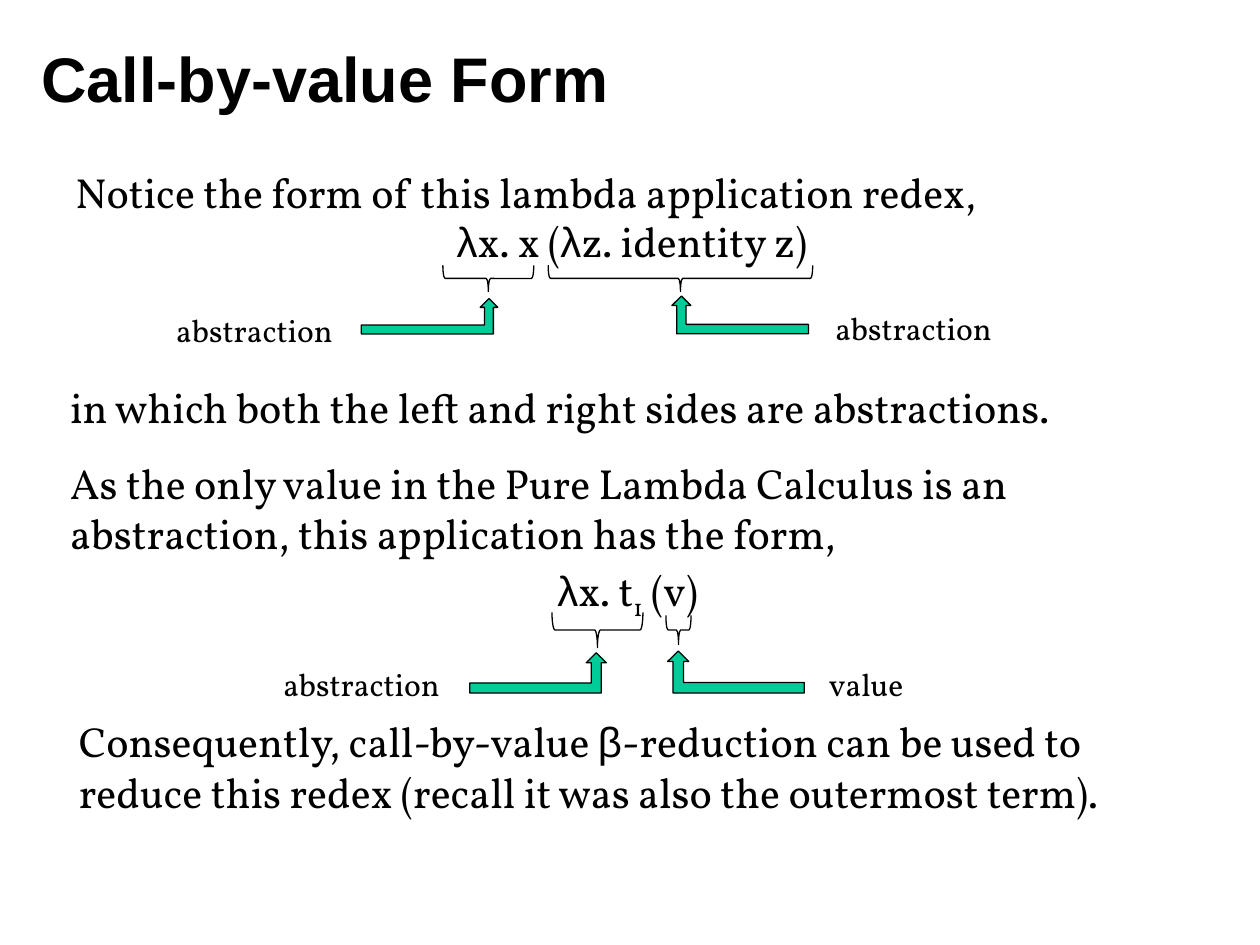
from pptx import Presentation
from pptx.dml.color import RGBColor
from pptx.enum.shapes import MSO_SHAPE
from pptx.enum.text import MSO_ANCHOR, PP_ALIGN
from pptx.oxml.ns import qn
from pptx.util import Pt

COLORS = {"ink": "000000", "arrow": "00CC99"}
SERIF, SANS = "Vollkorn", "Arial"
GREEK = "λβ"
BODY_SIZE, LABEL_SIZE = 24, 18
LABEL_HEIGHT = 28.8
ARROW_WIDTH = 78


def color(name):
    return RGBColor.from_string(COLORS[name])


def add_span(para, text, size, font, bold=False, subscript=False):
    span = para.add_run()
    span.text = text
    span.font.size = Pt(size)
    span.font.name = font
    span.font.bold = bold
    span.font.color.rgb = color("ink")
    if subscript:
        span.font._element.set("baseline", "-25000")


def add_text(shapes, place, paragraphs, size=BODY_SIZE, wrap=True,
             align=PP_ALIGN.LEFT, gap=0):
    """Each paragraph is a list of spans; a span starting with "_" is a subscript."""
    box = shapes.add_textbox(*map(Pt, place))
    frame = box.text_frame
    frame.word_wrap = wrap
    for index, spans in enumerate(paragraphs):
        para = frame.add_paragraph() if index else frame.paragraphs[0]
        para.alignment = align
        if index:
            para.space_before = Pt(gap)
        for text in spans:
            font = SANS if text in GREEK else SERIF
            add_span(para, text.lstrip("_"), size, font, subscript=text.startswith("_"))


def add_outlined(shapes, kind, left, top, width, height):
    shape = shapes.add_shape(kind, Pt(left), Pt(top), Pt(width), Pt(height))
    shape.shadow.inherit = False
    shape.line.color.rgb = color("ink")
    shape.line.width = Pt(0.75)
    return shape


def add_brace(shapes, left, top, span, depth):
    """Lay a right brace on its side so that it points down from the expression."""
    shift = (span - depth) / 2
    brace = add_outlined(shapes, MSO_SHAPE.RIGHT_BRACE,
                         left + shift, top - shift, depth, span)
    brace.rotation = 90
    brace.fill.background()


def add_arrow(shapes, left, top, height, mirrored):
    arrow = add_outlined(shapes, MSO_SHAPE.BENT_UP_ARROW, left, top, ARROW_WIDTH, height)
    arrow.fill.solid()
    arrow.fill.fore_color.rgb = color("arrow")
    if mirrored:
        arrow._element.spPr.find(qn("a:xfrm")).set("flipH", "1")


def add_diagram(page, braces, arrows, labels, expression, expression_place):
    """Group an expression with its braces and the arrows that label both sides."""
    shapes = page.shapes.add_group_shape().shapes
    for brace in braces:
        add_brace(shapes, *brace)
    for arrow, mirrored in zip(arrows, (False, True)):
        add_arrow(shapes, *arrow, mirrored)
    for text, left, top, width in labels:
        add_text(shapes, (left, top, width, LABEL_HEIGHT), [[text]], LABEL_SIZE, wrap=False)
    add_text(shapes, expression_place, [expression], wrap=False, align=PP_ALIGN.CENTER)


def set_title(page, text):
    title = page.shapes.title
    title.left, title.top, title.width, title.height = map(Pt, (16.5, 10.8, 578, 67))
    title.text_frame.vertical_anchor = MSO_ANCHOR.MIDDLE
    para = title.text_frame.paragraphs[0]
    para.alignment = PP_ALIGN.LEFT
    add_span(para, text, 36, SANS, bold=True)


def main():
    deck = Presentation()
    deck.slide_width, deck.slide_height = Pt(720), Pt(540)
    page = deck.slides.add_slide(deck.slide_layouts[5])
    set_title(page, "Call-by-value Form")

    add_text(page.shapes, (36, 91.5, 648, 67),
             [["Notice the form of this lambda application redex,"]])
    add_text(page.shapes, (33, 214.5, 640, 108), [
        ["in which both the left and right sides are abstractions."],
        ["As the only value in the Pure Lambda Calculus is an "
         "abstraction, this application has the form,"],
    ], gap=14.5)
    add_text(page.shapes, (38, 405.5, 637, 93.6), [
        ["Consequently, call-by-value ", "β",
         "-reduction can be used to reduce this redex "
         "(recall it was also the outermost term)."],
    ])

    add_diagram(
        page,
        braces=[(253, 151.6, 52, 15), (313.2, 151.6, 151.2, 15)],
        arrows=[(206.5, 170.6, 20.2), (384, 169.2, 21.6)],
        labels=[("abstraction", 93.6, 174.2, 111.6), ("abstraction", 470.2, 172.8, 111.6)],
        expression=["λ", "x. x (", "λ", "z. identity z)"],
        expression_place=(243.4, 119.5, 235.4, 36))
    add_diagram(
        page,
        braces=[(315.4, 350, 52, 20), (380.5, 351.7, 14.4, 16.6)],
        arrows=[(268.5, 373, 23), (381.6, 372, 24)],
        labels=[("abstraction", 154.8, 376.6, 111.6), ("value", 466.6, 376.6, 61.2)],
        expression=["λ", "x. t", "_1", " (v)"],
        expression_place=(305.3, 319, 106.6, 40.3))

    deck.save("out.pptx")


if __name__ == "__main__":
    main()
